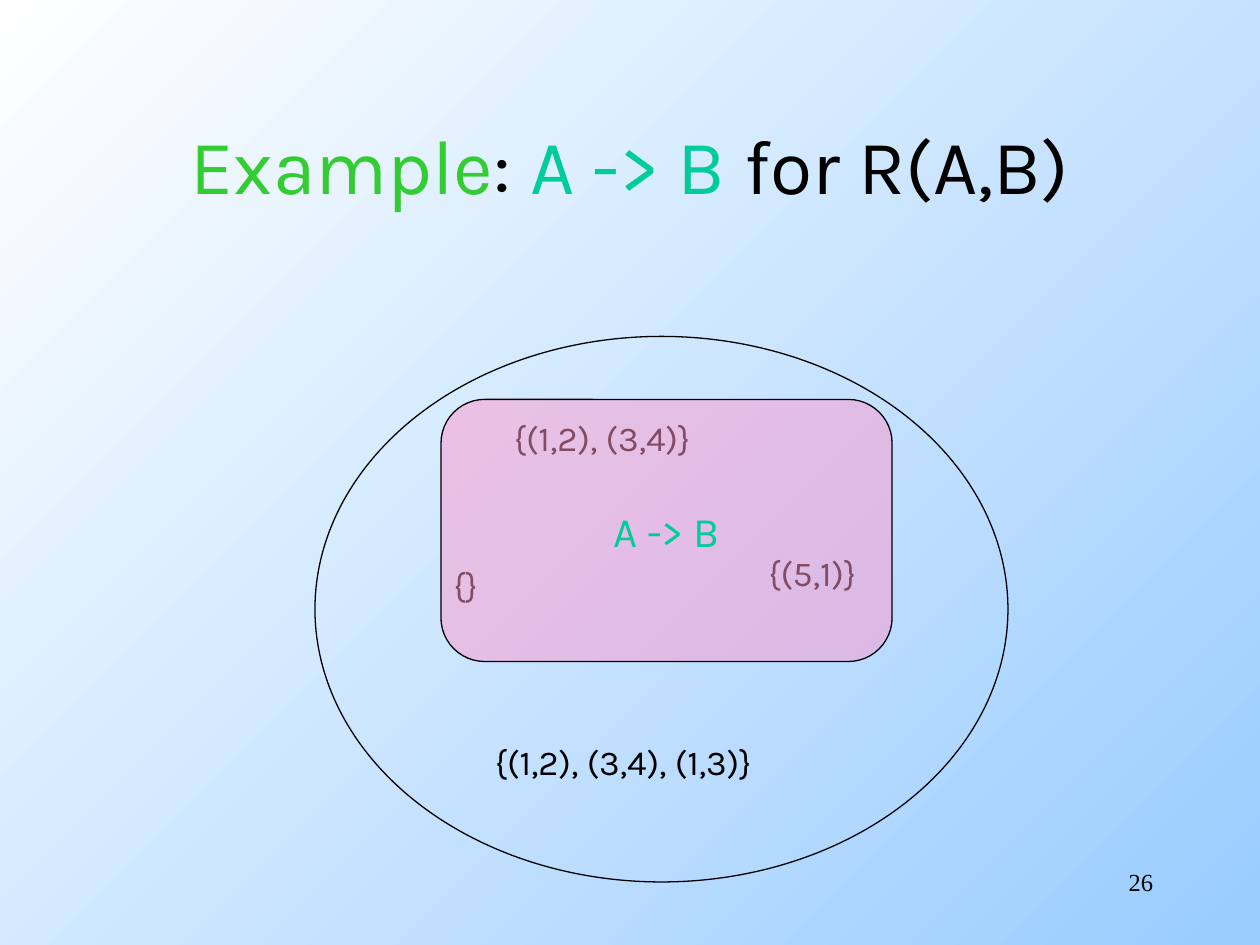
from dataclasses import dataclass

import pptx
import pptx.dml.color
import pptx.enum.shapes
import pptx.enum.text
import pptx.oxml.ns
import pptx.util
from lxml import etree

RGBColor = pptx.dml.color.RGBColor
Inches = pptx.util.Inches
Align = pptx.enum.text.PP_ALIGN
Anchor = pptx.enum.text.MSO_ANCHOR
Preset = pptx.enum.shapes.MSO_SHAPE

BLACK = RGBColor(0x00, 0x00, 0x00)
WHITE = RGBColor(0xFF, 0xFF, 0xFF)
SKY = RGBColor(0x99, 0xCC, 0xFF)
GREEN = RGBColor(0x33, 0xCC, 0x33)
TEAL = RGBColor(0x00, 0xCC, 0x99)
PINK = RGBColor(0xFF, 0x99, 0xCC)


@dataclass(frozen=True)
class Box:
    left: float
    top: float
    width: float
    height: float

    def lengths(self) -> tuple:
        return tuple(Inches(v) for v in (self.left, self.top, self.width, self.height))


@dataclass(frozen=True)
class Instance:
    tuples: str
    box: Box


INSTANCES = (
    Instance("{(1,2), (3,4)}", Box(3.98, 3.26, 1.83, 0.43)),
    Instance("{}", Box(3.5, 4.42, 0.47, 0.43)),
    Instance("{(1,2), (3,4), (1,3)}", Box(3.83, 5.83, 2.6, 0.43)),
    Instance("{(5,1)}", Box(6, 4.33, 1.07, 0.43)),
)


def write(shape, *runs: tuple[str, RGBColor], size: float, font: str = "Karla",
          align=Align.LEFT, anchor=Anchor.TOP, wrap: bool = False) -> None:
    frame = shape.text_frame
    frame.word_wrap = wrap
    frame.vertical_anchor = anchor
    paragraph = frame.paragraphs[0]
    paragraph.alignment = align
    for text, color in runs:
        run = paragraph.add_run()
        run.text = text
        run.font.name = font
        run.font.size = pptx.util.Pt(size)
        run.font.color.rgb = color


def add_region(slide, preset, box: Box):
    region = slide.shapes.add_shape(preset, *box.lengths())
    region.shadow.inherit = False
    region.fill.background()
    region.line.color.rgb = BLACK
    region.line.width = pptx.util.Pt(0.75)
    return region


def fill_translucent(shape, color: RGBColor, percent: int) -> None:
    shape.fill.solid()
    shape.fill.fore_color.rgb = color
    qn = pptx.oxml.ns.qn
    solid = shape.fill._xPr.find(qn("a:solidFill"))
    etree.SubElement(solid[0], qn("a:alpha"), val=str(percent * 1000))


def paint_background(slide) -> None:
    fill = slide.background.fill
    fill.gradient()
    fill.gradient_angle = 315
    for stop, color, position in zip(fill.gradient_stops, (WHITE, SKY), (0, 1)):
        stop.color.rgb = color
        stop.position = position


def main() -> None:
    deck = pptx.Presentation()
    deck.slide_width, deck.slide_height = Inches(10), Inches(7.5)
    slide = deck.slides.add_slide(deck.slide_layouts[6])
    paint_background(slide)

    # Page number and title
    page_number = slide.shapes.add_textbox(*Box(7.17, 6.83, 2.08, 0.5).lengths())
    write(page_number, ("26", BLACK), size=14, font="Times New Roman",
          align=Align.RIGHT, wrap=True)
    title = slide.shapes.add_textbox(*Box(0.75, 0.67, 8.5, 1.25).lengths())
    write(title, ("Example", GREEN), (": ", BLACK), ("A -> B", TEAL),
          (" for R(A,B)", BLACK), size=44, align=Align.CENTER,
          anchor=Anchor.MIDDLE, wrap=True)

    # All instances of the relation
    add_region(slide, Preset.OVAL, Box(2.5, 2.67, 5.5, 4.33))
    for instance in INSTANCES:
        label = slide.shapes.add_textbox(*instance.box.lengths())
        write(label, (instance.tuples, BLACK), size=20)
        label.text_frame.auto_size = pptx.enum.text.MSO_AUTO_SIZE.SHAPE_TO_FIT_TEXT

    # Instances that satisfy the dependency, veiled by the region
    dependency = add_region(slide, Preset.ROUNDED_RECTANGLE, Box(3.5, 3.17, 3.58, 2.08))
    fill_translucent(dependency, PINK, 50)
    write(dependency, ("A -> B", TEAL), size=24, align=Align.CENTER, anchor=Anchor.MIDDLE)

    deck.save("out.pptx")


if __name__ == "__main__":
    main()
